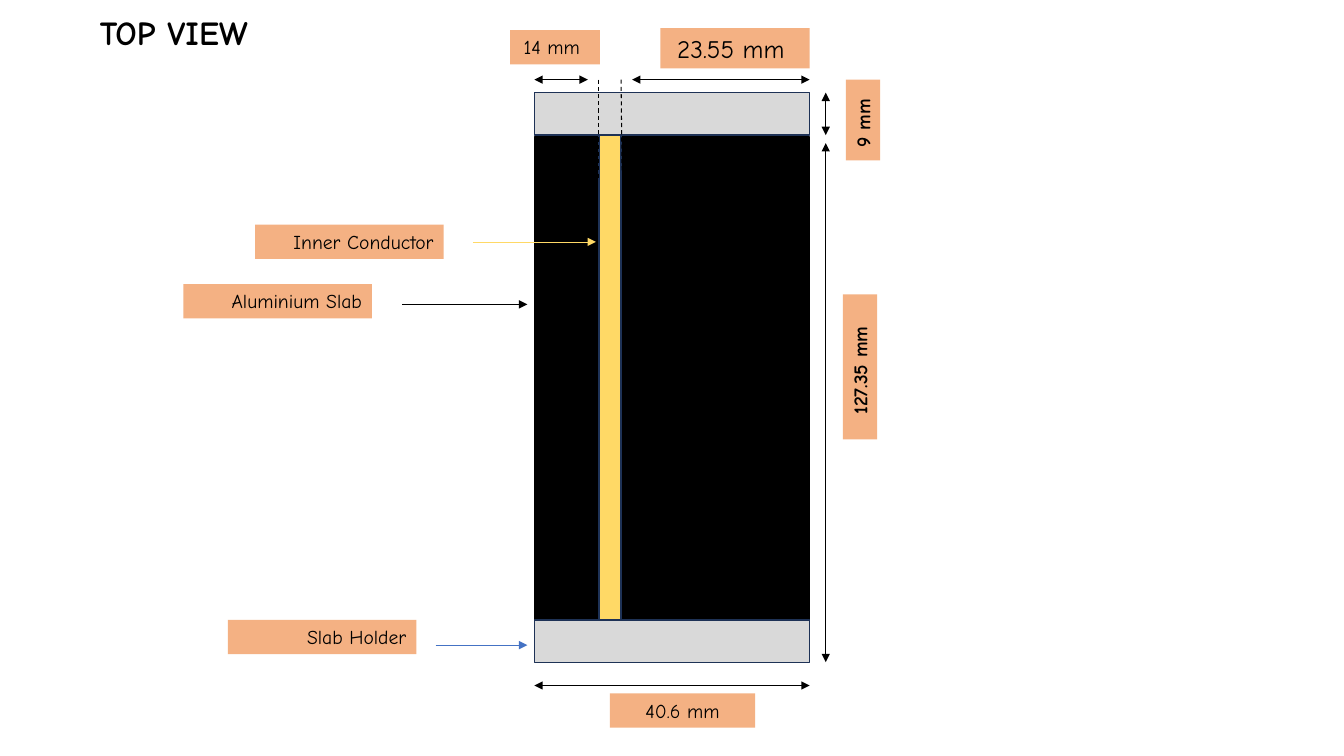
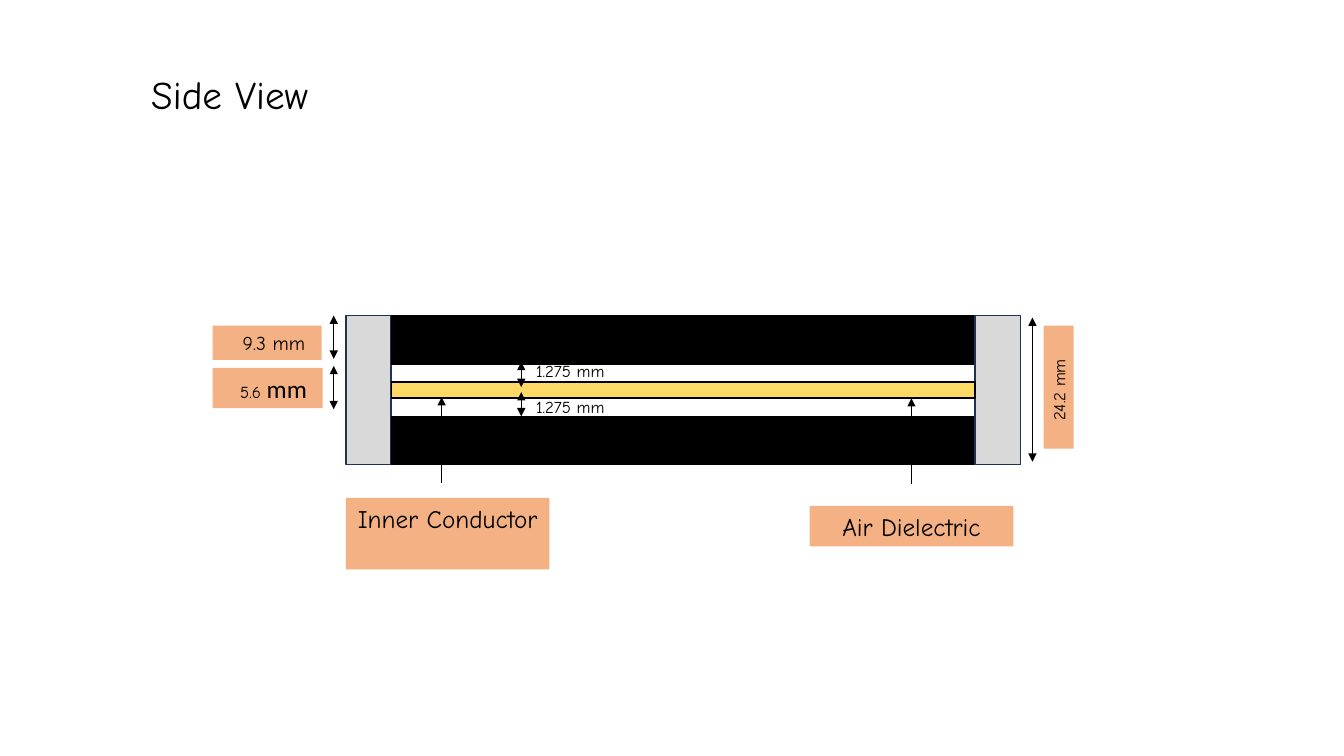
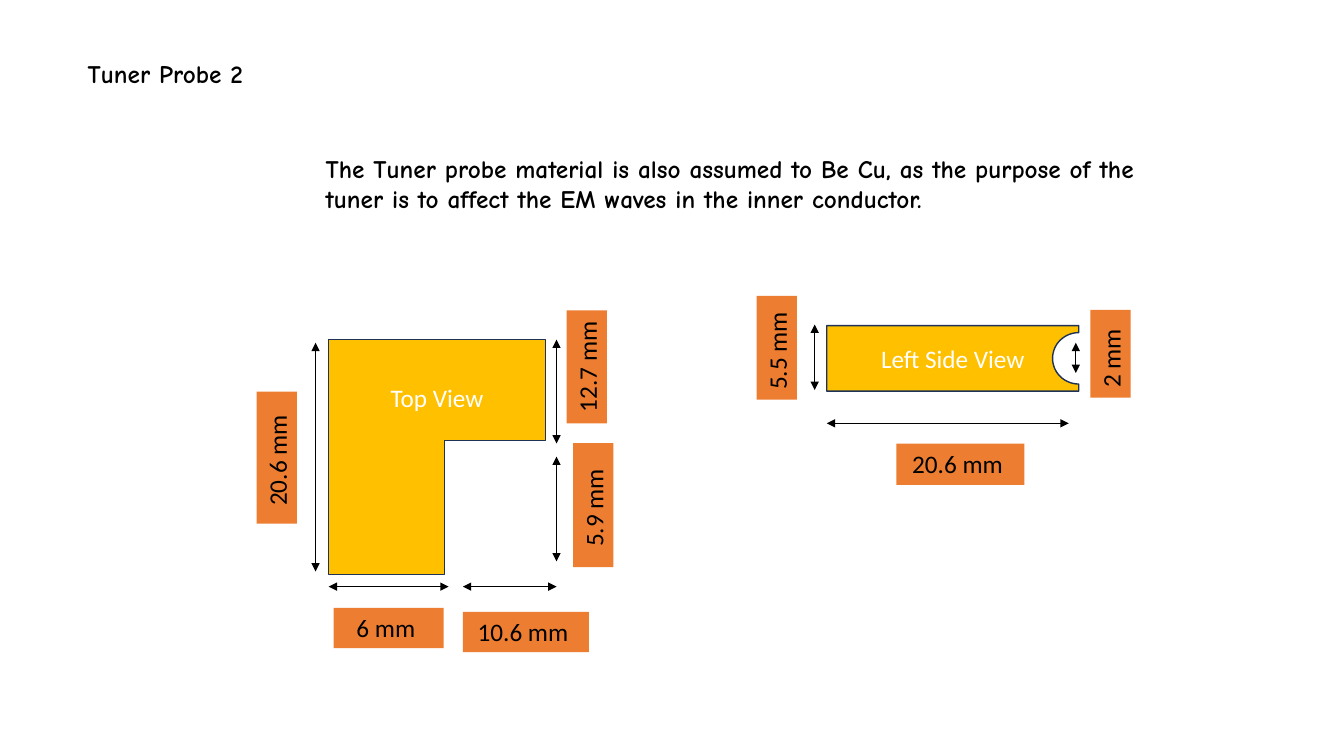
"""Draw the stripline resonator views and the tuner probe as three slides."""
from dataclasses import dataclass
from functools import partial
from math import cos, pi, sin

from pptx import Presentation
from pptx.dml.color import RGBColor
from pptx.enum.dml import MSO_LINE_DASH_STYLE as Dash
from pptx.enum.shapes import MSO_CONNECTOR, MSO_SHAPE
from pptx.enum.text import MSO_ANCHOR as Anchor, MSO_AUTO_SIZE as AutoSize, PP_ALIGN as Align
from pptx.oxml.ns import qn
from pptx.oxml.xmlchemy import OxmlElement
from pptx.util import Pt

PX = 9144
SLIDE_WIDTH, SLIDE_HEIGHT = 1333, 750
TITLE_ONLY, TITLE_AND_BODY = 5, 1

BLACK = RGBColor(0x00, 0x00, 0x00)
WHITE = RGBColor(0xFF, 0xFF, 0xFF)
NAVY = RGBColor(0x1E, 0x32, 0x56)
GREY = RGBColor(0xD9, 0xD9, 0xD9)
BRASS = RGBColor(0xFF, 0xD9, 0x66)
GOLD = RGBColor(0xFF, 0xC0, 0x00)
PEACH = RGBColor(0xF4, 0xB1, 0x83)
ORANGE = RGBColor(0xED, 0x7D, 0x31)
BLUE = RGBColor(0x44, 0x72, 0xC4)
COMIC, CALIBRI = "Comic Neue", "Calibri"


@dataclass
class Label:
    text: str
    box: tuple
    size: int = 14
    align: Align = Align.CENTER
    turned: bool = False
    bold: bool = False
    fill: RGBColor = PEACH
    font: str = COMIC
    unit: str = ""


@dataclass
class Outline:
    text: str
    points: list
    anchor: Anchor = Anchor.MIDDLE
    margin_top: int = 5


ProbeLabel = partial(Label, size=18, fill=ORANGE, font=CALIBRI)
GapLabel = partial(Label, size=12, align=Align.RIGHT, fill=None)
PartLabel = partial(Label, align=Align.RIGHT)


def notched_bar(left, top, right, bottom, notch_top, notch_bottom, depth, steps=32):
    """Return a bar's corners with a half-ellipse cut from its right end."""
    middle, radius = (notch_top + notch_bottom) / 2, (notch_bottom - notch_top) / 2
    angles = [pi * step / steps for step in range(steps + 1)]
    notch = [(right - depth * sin(angle), middle - radius * cos(angle)) for angle in angles]
    return [(left, top), (right, top), *notch, (right, bottom), (left, bottom)]


TOP_VIEW = dict(
    title=("TOP VIEW", (89, 7, 667, 50), 24, True),
    blocks=[
        ((530, 136, 273, 481), BLACK, BLACK),
        ((594, 134, 22, 481), BRASS, NAVY),
        ((530, 92, 273, 42), GREY, NAVY),
        ((530, 615, 273, 42), GREY, NAVY),
    ],
    guides=[(616, 79, 617, 170), (594, 79, 594, 177)],
    dimensions=[
        (627, 79, 803, 79),
        (530, 79, 583, 79),
        (819, 92, 819, 134),
        (819, 142, 819, 657),
        (530, 680, 803, 680),
    ],
    pointers=[
        ((469, 240, 591, 240), BRASS),
        ((399, 302, 523, 302), BLACK),
        ((432, 640, 523, 640), BLUE),
    ],
    labels=[
        Label("127.35 mm ", (781, 347, 144, 34), turned=True, bold=True),
        Label("9 mm ", (816, 102, 80, 34), turned=True, bold=True),
        Label("14 mm ", (506, 30, 89, 34)),
        Label("23.55 mm ", (655, 28, 148, 40), size=18),
        PartLabel("Inner Conductor", (253, 223, 187, 34)),
        PartLabel("Aluminium Slab", (182, 282, 187, 34)),
        PartLabel("Slab Holder", (226, 615, 187, 34)),
        Label("40.6 mm", (605, 688, 144, 34)),
    ],
)

SIDE_VIEW = dict(
    title=("Side View", (140, 65, 667, 57), 28, False),
    blocks=[
        ((343, 313, 45, 148), GREY, NAVY),
        ((388, 313, 579, 48), BLACK, BLACK),
        ((388, 413, 579, 48), BLACK, BLACK),
        ((967, 313, 45, 148), GREY, NAVY),
        ((388, 379, 579, 16), BRASS, BLACK),
    ],
    dimensions=[
        (331, 313, 331, 356),
        (1024, 315, 1024, 458),
        (331, 363, 331, 406),
        (517, 359, 517, 384),
        (517, 389, 517, 413),
    ],
    pointers=[((438, 479, 438, 394), BLACK), ((904, 480, 904, 395), BLACK)],
    labels=[
        Label("24.2 mm ", (989, 369, 122, 30), size=12, turned=True),
        PartLabel("9.3 mm ", (211, 323, 108, 34)),
        PartLabel("5.6", (211, 365, 109, 40), size=12, unit=" mm "),
        GapLabel("1.275 mm ", (492, 353, 123, 30)),
        GapLabel("1.275 mm ", (492, 389, 123, 30)),
        Label("Inner Conductor", (343, 494, 202, 71), size=18),
        Label("Air Dielectric", (803, 502, 202, 40), size=18),
    ],
)

TUNER_PROBE = dict(
    title=("Tuner Probe 2", (77, 53, 667, 40), 18, True),
    body=(
        "The Tuner probe material is also assumed to Be Cu, as the purpose of the tuner "
        "is to affect the EM waves in the inner conductor.",
        (313, 147, 844, 101), 18, True,
    ),
    outlines=[
        Outline(
            "Top View",
            [(326, 337), (541, 337), (541, 437), (441, 437), (441, 570), (326, 570)],
            Anchor.TOP, 42,
        ),
        Outline("Left Side View", notched_bar(820, 323, 1070, 388, 330, 381, 26)),
    ],
    dimensions=[
        (313, 340, 313, 567),
        (326, 582, 445, 582),
        (459, 582, 552, 582),
        (552, 337, 552, 440),
        (552, 453, 552, 557),
        (808, 322, 808, 387),
        (1060, 420, 820, 420),
        (1067, 370, 1067, 340),
    ],
    labels=[
        ProbeLabel("12.7 mm", (526, 344, 112, 40), turned=True),
        ProbeLabel("5.9 mm ", (527, 481, 123, 40), turned=True),
        ProbeLabel("20.6 mm ", (209, 434, 131, 40), turned=True),
        ProbeLabel("6 mm ", (331, 603, 109, 40)),
        ProbeLabel("10.6 mm ", (459, 607, 125, 40)),
        ProbeLabel("2 mm", (1058, 331, 87, 40), turned=True, align=Align.LEFT),
        ProbeLabel("5.5 mm", (719, 325, 103, 40), turned=True, align=Align.LEFT),
        ProbeLabel("20.6 mm ", (889, 440, 127, 41)),
    ],
)


def emu(lengths):
    return [round(length * PX) for length in lengths]


def format_run(run, font, size, color=BLACK, bold=False):
    run.font.name, run.font.size, run.font.bold = font, Pt(size), bold
    run.font.color.rgb = color


def prepare_frame(frame, anchor=Anchor.TOP):
    frame.word_wrap = True
    frame.auto_size = AutoSize.NONE
    frame.vertical_anchor = anchor


def fill_placeholder(shape, text, box, size, bold):
    shape.left, shape.top, shape.width, shape.height = emu(box)
    frame = shape.text_frame
    prepare_frame(frame)
    frame.text = text
    paragraph = frame.paragraphs[0]
    paragraph.alignment = Align.LEFT
    paragraph.space_before = Pt(0)
    format_run(paragraph.runs[0], COMIC, size, bold=bold)
    properties = paragraph._p.get_or_add_pPr()
    properties.set("marL", "0")
    properties.set("indent", "0")
    properties.append(OxmlElement("a:buNone"))


def paint(shape, fill, line):
    shape.shadow.inherit = False
    shape.fill.solid()
    shape.fill.fore_color.rgb = fill
    shape.line.color.rgb = line
    shape.line.width = Pt(1)


def add_block(slide, box, fill, line):
    paint(slide.shapes.add_shape(MSO_SHAPE.RECTANGLE, *emu(box)), fill, line)


def add_outline(slide, outline):
    start, *rest = [emu(point) for point in outline.points]
    builder = slide.shapes.build_freeform(*start)
    builder.add_line_segments(rest, close=True)
    shape = builder.convert_to_shape()
    paint(shape, GOLD, NAVY)
    frame = shape.text_frame
    prepare_frame(frame, outline.anchor)
    frame.margin_top = outline.margin_top * PX
    frame.text = outline.text
    frame.paragraphs[0].alignment = Align.CENTER
    format_run(frame.paragraphs[0].runs[0], CALIBRI, 18, WHITE)


def add_line(slide, ends, color=BLACK, width=0.5, dash=None, arrows=()):
    connector = slide.shapes.add_connector(MSO_CONNECTOR.STRAIGHT, *emu(ends))
    connector.line.color.rgb = color
    connector.line.width = Pt(width)
    if dash:
        connector.line.dash_style = dash
    properties = connector.element.spPr
    for end in arrows:
        arrow = OxmlElement(f"a:{end}")
        arrow.set("type", "triangle")
        properties.find(qn("a:ln")).append(arrow)
    properties.append(OxmlElement("a:effectLst"))


def add_label(slide, label):
    shape = slide.shapes.add_textbox(*emu(label.box))
    if label.fill:
        shape.fill.solid()
        shape.fill.fore_color.rgb = label.fill
    if label.turned:
        shape.rotation = 270
    frame = shape.text_frame
    prepare_frame(frame)
    frame.text = label.text
    paragraph = frame.paragraphs[0]
    paragraph.alignment = label.align
    format_run(paragraph.runs[0], label.font, label.size, bold=label.bold)
    if label.unit:
        run = paragraph.add_run()
        run.text = label.unit
        format_run(run, CALIBRI, 18)


def add_view(presentation, view):
    layout = TITLE_AND_BODY if "body" in view else TITLE_ONLY
    slide = presentation.slides.add_slide(presentation.slide_layouts[layout])
    fill_placeholder(slide.shapes.title, *view["title"])
    if "body" in view:
        fill_placeholder(slide.placeholders[1], *view["body"])
    for block in view.get("blocks", []):
        add_block(slide, *block)
    for outline in view.get("outlines", []):
        add_outline(slide, outline)
    for ends in view.get("guides", []):
        add_line(slide, ends, width=0.75, dash=Dash.DASH)
    for ends in view["dimensions"]:
        add_line(slide, ends, arrows=("headEnd", "tailEnd"))
    for ends, color in view.get("pointers", []):
        add_line(slide, ends, color, arrows=("tailEnd",))
    for label in view["labels"]:
        add_label(slide, label)


def main():
    presentation = Presentation()
    presentation.slide_width, presentation.slide_height = emu((SLIDE_WIDTH, SLIDE_HEIGHT))
    for view in (TOP_VIEW, SIDE_VIEW, TUNER_PROBE):
        add_view(presentation, view)
    presentation.save("out.pptx")


if __name__ == "__main__":
    main()
